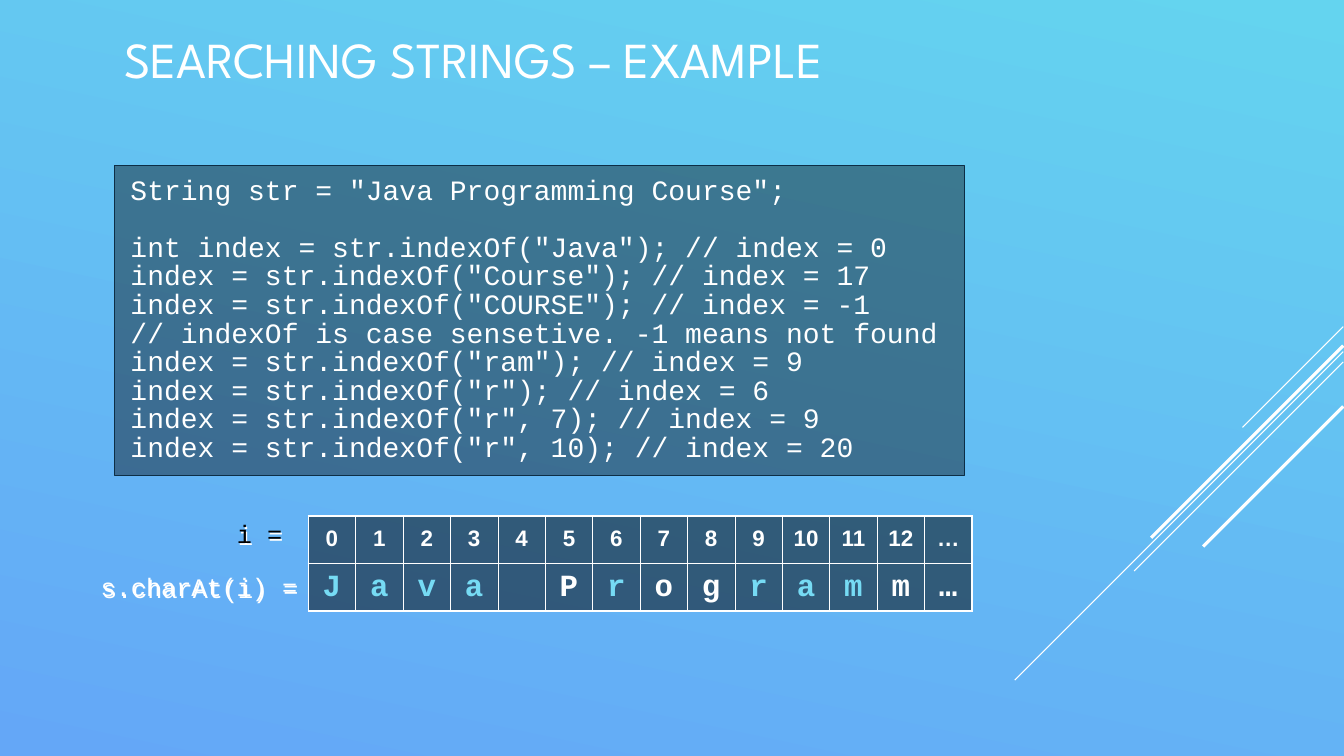
from lxml import etree
from pptx import Presentation
from pptx import util as u
from pptx.dml.color import RGBColor
from pptx.enum import shapes, text
from pptx.oxml import parse_xml
from pptx.oxml.ns import nsdecls, qn

WHITE, BLACK, CYAN = "FFFFFF", "000000", "76DBF4"
MONO = "Courier New"
CODE_SPACING = 0.85

CODE = '''String str = "Java Programming Course";

int index = str.indexOf("Java"); // index = 0
index = str.indexOf("Course"); // index = 17
index = str.indexOf("COURSE"); // index = -1
// indexOf is case sensetive. -1 means not found
index = str.indexOf("ram"); // index = 9
index = str.indexOf("r"); // index = 6
index = str.indexOf("r", 7); // index = 9
index = str.indexOf("r", 10); // index = 20'''

INDEXES = [str(number) for number in range(13)] + ["…"]
LETTERS = "Java Programm…"
FOUND = {0, 1, 2, 3, 6, 9, 10, 11}

RIGHT_EDGE = 33.86
DIAGONALS = [(8.23, 2.54, 0.75), (8.86, 8.28, 0.75), (9.12, 5.27, 0.75),
             (8.71, 4.84, 2.25), (10.24, 3.53, 2.25)]


def color(value):
    return RGBColor.from_string(value)


def paint(fill, value):
    fill.solid()
    fill.fore_color.rgb = color(value)


def set_opacity(properties, percent):
    tone = properties.find(qn("a:solidFill"))[0]
    etree.SubElement(tone, qn("a:alpha")).set("val", str(percent * 1000))


def add_span(para, words, size, face, value, bold=False):
    span = para.add_run()
    span.text = words
    span.font.size = u.Pt(size)
    span.font.name = face
    span.font.bold = bold
    span.font.color.rgb = color(value)


def set_margins(frame, side, top):
    frame.margin_left = frame.margin_right = u.Cm(side)
    frame.margin_top = frame.margin_bottom = u.Cm(top)


def paint_background(page):
    fill = page.background.fill
    fill.gradient()
    fill.gradient_angle = 258
    for stop, value in zip(fill.gradient_stops, ("64D4EF", "64A7F7")):
        stop.color.rgb = color(value)


def add_diagonal(page, top, run, weight):
    line = page.shapes.add_connector(
        shapes.MSO_CONNECTOR.STRAIGHT, u.Cm(RIGHT_EDGE), u.Cm(top),
        u.Cm(RIGHT_EDGE - run), u.Cm(top + run))
    line.line.color.rgb = color(WHITE)
    line.line.width = u.Pt(weight)
    etree.SubElement(line._element.spPr, qn("a:effectLst"))


def add_title(page, words):
    box = page.shapes.add_textbox(u.Cm(2.89), u.Cm(0.1), u.Cm(23.7), u.Cm(2.74))
    frame = box.text_frame
    frame.word_wrap = True
    frame.vertical_anchor = text.MSO_ANCHOR.MIDDLE
    add_span(frame.paragraphs[0], words, 36, "League Spartan", WHITE)


def add_code(page, code):
    box = page.shapes.add_shape(shapes.MSO_SHAPE.RECTANGLE, u.Cm(2.89),
                                u.Cm(4.17), u.Cm(21.41), u.Cm(7.8))
    box.shadow.inherit = False
    paint(box.fill, BLACK)
    set_opacity(box._element.spPr, 40)
    box.line.color.rgb = color("0D2E46")
    box.line.width = u.Pt(0.25)
    frame = box.text_frame
    frame.word_wrap = True
    frame.vertical_anchor = text.MSO_ANCHOR.TOP
    set_margins(frame, 0.4, 0.3)
    for number, block in enumerate(code.split("\n\n")):
        for row, line in enumerate(block.split("\n")):
            first = number == row == 0
            para = frame.paragraphs[0] if first else frame.add_paragraph()
            para.alignment = text.PP_ALIGN.LEFT
            para.line_spacing = CODE_SPACING
            if number and row == 0:
                para.space_before = u.Pt(20.4)
            add_span(para, line, 20, MONO, WHITE)


def add_label(page, words, left, top, width, value):
    box = page.shapes.add_textbox(u.Cm(left), u.Cm(top), u.Cm(width), u.Cm(0.91))
    box._element.spPr.append(parse_xml(
        f'<a:effectLst {nsdecls("a")}><a:outerShdw dist="17961" dir="2700000">'
        f'<a:srgbClr val="{WHITE}"/></a:outerShdw></a:effectLst>'))
    frame = box.text_frame
    frame.word_wrap = False
    para = frame.paragraphs[0]
    para.line_spacing = CODE_SPACING
    add_span(para, words, 18, MONO, value)


def set_borders(cell, weights):
    properties = cell._tc.get_or_add_tcPr()
    for place, (side, weight) in enumerate(zip("LRTB", weights)):
        properties.insert(place, parse_xml(
            f'<a:ln{side} {nsdecls("a")} w="{u.Pt(weight)}"><a:solidFill>'
            f'<a:srgbClr val="{WHITE}"/></a:solidFill></a:ln{side}>'))


def add_index_table(page):
    count = len(INDEXES)
    grid = page.shapes.add_table(2, count, u.Cm(7.77), u.Cm(13),
                                 u.Cm(16.74), u.Cm(2.4)).table
    grid.first_row = grid.horz_banding = False
    for row, (values, size, face) in enumerate(
            [(INDEXES, 16, "Arial"), (LETTERS, 22, MONO)]):
        for column, value in enumerate(values):
            cell = grid.cell(row, column)
            cell.vertical_anchor = text.MSO_ANCHOR.MIDDLE
            paint(cell.fill, BLACK)
            set_opacity(cell._tc.tcPr, 50)
            outer = (column == 0, column == count - 1, row == 0, row == 1)
            set_borders(cell, [1.08 if edge else 0.45 for edge in outer])
            para = cell.text_frame.paragraphs[0]
            para.alignment = text.PP_ALIGN.CENTER
            para.line_spacing = 0.95
            if value.strip():
                tone = CYAN if row == 1 and column in FOUND else WHITE
                add_span(para, value, size, face, tone, True)


def main():
    deck = Presentation()
    deck.slide_width, deck.slide_height = u.Cm(33.88), u.Cm(19.05)
    page = deck.slides.add_slide(deck.slide_layouts[6])
    paint_background(page)
    for top, run, weight in DIAGONALS:
        add_diagonal(page, top, run, weight)
    add_title(page, "SEARCHING STRINGS – EXAMPLE")
    add_code(page, CODE)
    add_index_table(page)
    add_label(page, "i =", 5.72, 13.06, 1.65, BLACK)
    add_label(page, "s.charAt(i) =", 2.29, 14.4, 5.46, WHITE)
    deck.save("out.pptx")


if __name__ == "__main__":
    main()
